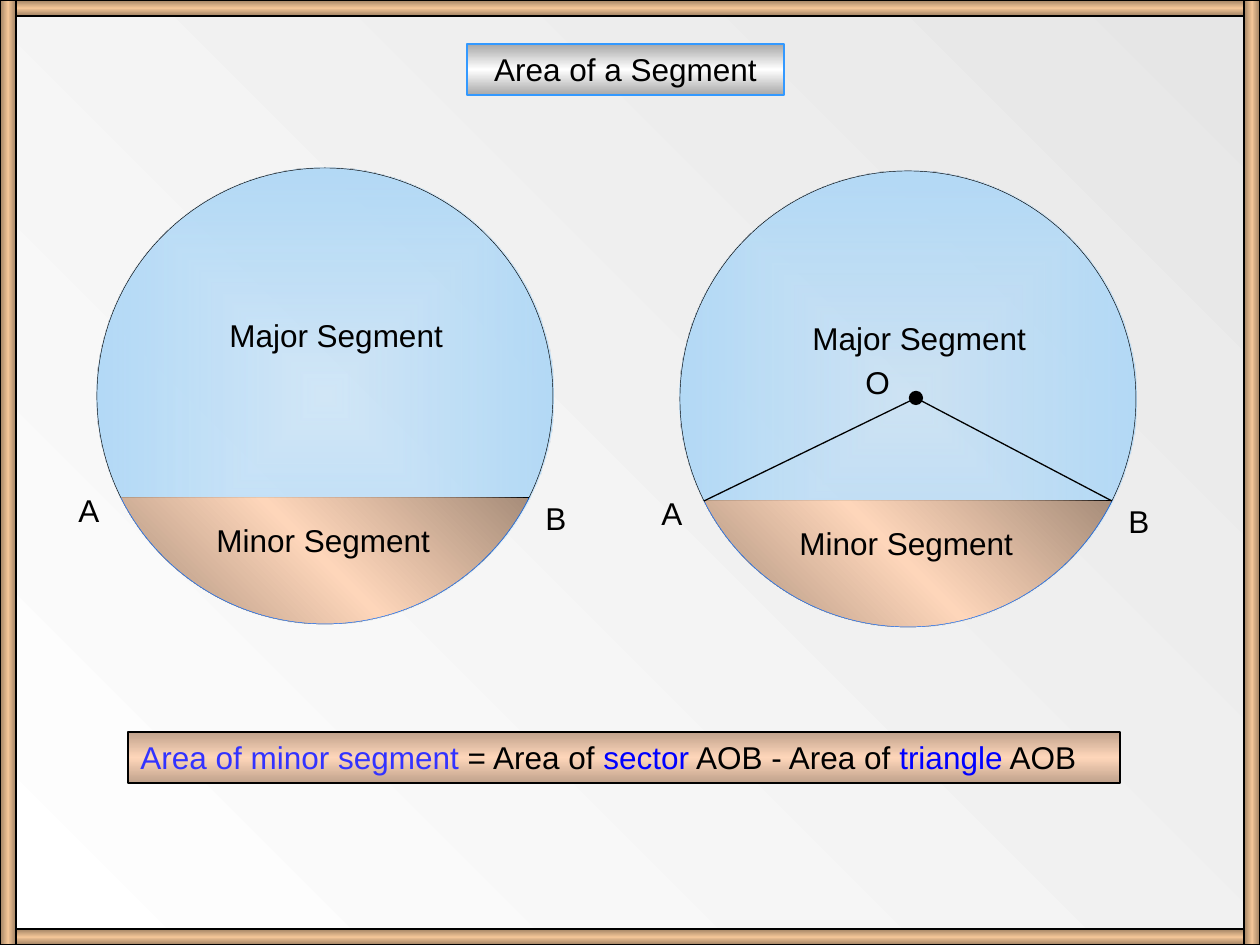
from dataclasses import dataclass
from math import asin, cos, pi, sin

from lxml.etree import SubElement
from pptx import Presentation
from pptx.dml.color import RGBColor
from pptx.enum.shapes import MSO_CONNECTOR, MSO_SHAPE
from pptx.enum.text import MSO_ANCHOR, MSO_AUTO_SIZE, PP_ALIGN
from pptx.oxml import parse_xml
from pptx.oxml.ns import nsdecls, qn
from pptx.util import Emu, Pt

EMU_PER_PX = 914400 / 126


@dataclass(frozen=True)
class Theme:
    font: str = "Arial"
    size: int = 18
    black: str = "000000"
    violet: str = "3333FF"
    blue: str = "0000FF"
    title_line: str = "3399FF"
    segment_line: str = "0066FF"
    backdrop: tuple = ("E6E6E6", "FFFFFF")
    silver: tuple = ("A8A8A8", "FFFFFF", "A8A8A8")
    disc: tuple = ("AFD8F7", "B3D9F6")
    peach: tuple = ("A78D7A", "FED6BA", "A78D7A")
    formula: tuple = ("C0A28C", "FED6BA", "C0A28C")
    wood: tuple = ("A08263", "F3C597", "A08263")
    thin: float = 0.25
    line: float = 0.75


THEME = Theme()


def px(length):
    return Emu(round(length * EMU_PER_PX))


def box(*lengths):
    return [px(length) for length in lengths]


def set_gradient(fill, element, colors, angle=None, first_alpha=100):
    """Evenly spaced stops; without an angle the gradient runs to the centre."""
    fill.solid()
    solid = next(element.iter(qn("a:solidFill")))
    gradient = parse_xml(f'<a:gradFill {nsdecls("a")} rotWithShape="1"><a:gsLst/></a:gradFill>')
    for index, color in enumerate(colors):
        position = index * 100000 // (len(colors) - 1)
        stop = SubElement(gradient[0], qn("a:gs"), pos=str(position))
        tint = SubElement(stop, qn("a:srgbClr"), val=color)
        if index == 0 and first_alpha < 100:
            SubElement(tint, qn("a:alpha"), val=str(first_alpha * 1000))
    if angle is None:
        centre = SubElement(gradient, qn("a:path"), path="rect")
        SubElement(centre, qn("a:fillToRect"), l="50000", t="50000", r="50000", b="50000")
    else:
        SubElement(gradient, qn("a:lin"), ang=str(angle * 60000), scaled="0")
    solid.getparent().replace(solid, gradient)


def set_line(shape, color, width):
    shape.line.color.rgb = RGBColor.from_string(color)
    shape.line.width = Pt(width)


def style(shape, colors, angle=None, line=THEME.black, width=THEME.line, first_alpha=100):
    shape.shadow.inherit = False
    set_gradient(shape.fill, shape._element.spPr, colors, angle, first_alpha)
    set_line(shape, line, width)


def write(shape, runs, align=PP_ALIGN.LEFT):
    frame = shape.text_frame
    frame.word_wrap = True
    frame.auto_size = MSO_AUTO_SIZE.NONE
    frame.vertical_anchor = MSO_ANCHOR.TOP
    paragraph = frame.paragraphs[0]
    paragraph.alignment = align
    paragraph.line_spacing = 1.0
    paragraph.space_before = Pt(0)
    for text, color in runs:
        run = paragraph.add_run()
        run.text = text
        run.font.name = THEME.font
        run.font.size = Pt(THEME.size)
        run.font.color.rgb = RGBColor.from_string(color)


def add_label(slide, text, left, top, width):
    write(slide.shapes.add_textbox(*box(left, top, width, 51)), [(text, THEME.black)])


def add_line(slide, start, end):
    line = slide.shapes.add_connector(MSO_CONNECTOR.STRAIGHT, *box(*start, *end))
    set_line(line, THEME.black, THEME.line)
    SubElement(line._element.spPr, qn("a:effectLst"))


def add_panel(slide, bounds, colors, angle):
    panel = slide.shapes.add_shape(MSO_SHAPE.RECTANGLE, *box(*bounds))
    style(panel, colors, angle)
    return panel


def add_minor_segment(slide, center_x, center_y, radius, chord_drop, steps=60):
    start = asin(chord_drop / radius)
    angles = [pi - start - (pi - 2 * start) * step / steps for step in range(steps + 1)]
    arc = [box(center_x + radius * cos(angle), center_y + radius * sin(angle))
           for angle in angles]
    builder = slide.shapes.build_freeform(*arc[0])
    builder.add_line_segments(arc[1:], close=False)
    style(builder.convert_to_shape(), THEME.peach, 135, THEME.segment_line, THEME.thin)


def add_divided_circle(slide, left, top):
    """Draw the circle cut by chord AB and return the ends of the chord."""
    radius, chord_drop, half_chord = 228, 102, 204
    center_x, center_y = left + radius, top + radius
    circle = slide.shapes.add_shape(
        MSO_SHAPE.OVAL, *box(left, top, 2 * radius, 2 * radius))
    style(circle, THEME.disc, width=THEME.thin, first_alpha=50)
    chord_y = center_y + chord_drop
    chord = (center_x - half_chord, chord_y), (center_x + half_chord, chord_y)
    add_line(slide, *chord)
    add_minor_segment(slide, center_x, center_y, radius, chord_drop)
    for text, dx, dy, width in (
        ("Major Segment", 120, 142, 253),
        ("Minor Segment", 107, 347, 253),
        ("A", -31, 317, 68),
        ("B", 436, 325, 68),
    ):
        add_label(slide, text, left + dx, top + dy, width)
    return chord


def add_center_triangle(slide, chord):
    center_x, center_y, dot = 916, 398, 13
    point = slide.shapes.add_shape(
        MSO_SHAPE.OVAL, *box(center_x - dot / 2, center_y - dot / 2, dot, dot))
    point.shadow.inherit = False
    point.fill.solid()
    point.fill.fore_color.rgb = RGBColor.from_string(THEME.black)
    set_line(point, THEME.black, THEME.line)
    for end in chord:
        add_line(slide, (center_x, center_y), end)
    add_label(slide, "O", 853, 357, 84)


def add_title(slide):
    title = slide.shapes.title
    title.left, title.top, title.width, title.height = box(467, 44, 317, 51)
    set_gradient(title.fill, title._element.spPr, THEME.silver, 90)
    set_line(title, THEME.title_line, THEME.line)
    write(title, [("Area of a Segment", THEME.black)], PP_ALIGN.CENTER)


def add_formula(slide):
    formula = add_panel(slide, (128, 732, 992, 51), THEME.formula, 90)
    write(formula, [
        ("Area of minor segment", THEME.violet),
        (" = Area of ", THEME.black),
        ("sector", THEME.blue),
        (" AOB - Area of ", THEME.black),
        ("triangle", THEME.blue),
        (" AOB", THEME.black),
    ])


def add_frame(slide, width, height, bar=16):
    for top in (0, height - bar):
        add_panel(slide, (0, top, width, bar), THEME.wood, 90)
    for left in (0, width - bar):
        add_panel(slide, (left, 0, bar, height), THEME.wood, 180)


def main():
    width, height = 1260, 945
    deck = Presentation()
    deck.slide_width, deck.slide_height = box(width, height)
    slide = deck.slides.add_slide(deck.slide_layouts[5])
    set_gradient(slide.background.fill, slide._element, THEME.backdrop, 135)

    add_title(slide)
    # Circle with its two segments, then the same with the triangle AOB
    add_divided_circle(slide, 97, 168)
    chord = add_divided_circle(slide, 680, 171)
    add_center_triangle(slide, chord)
    add_formula(slide)
    add_frame(slide, width, height)
    deck.save("out.pptx")


if __name__ == "__main__":
    main()
